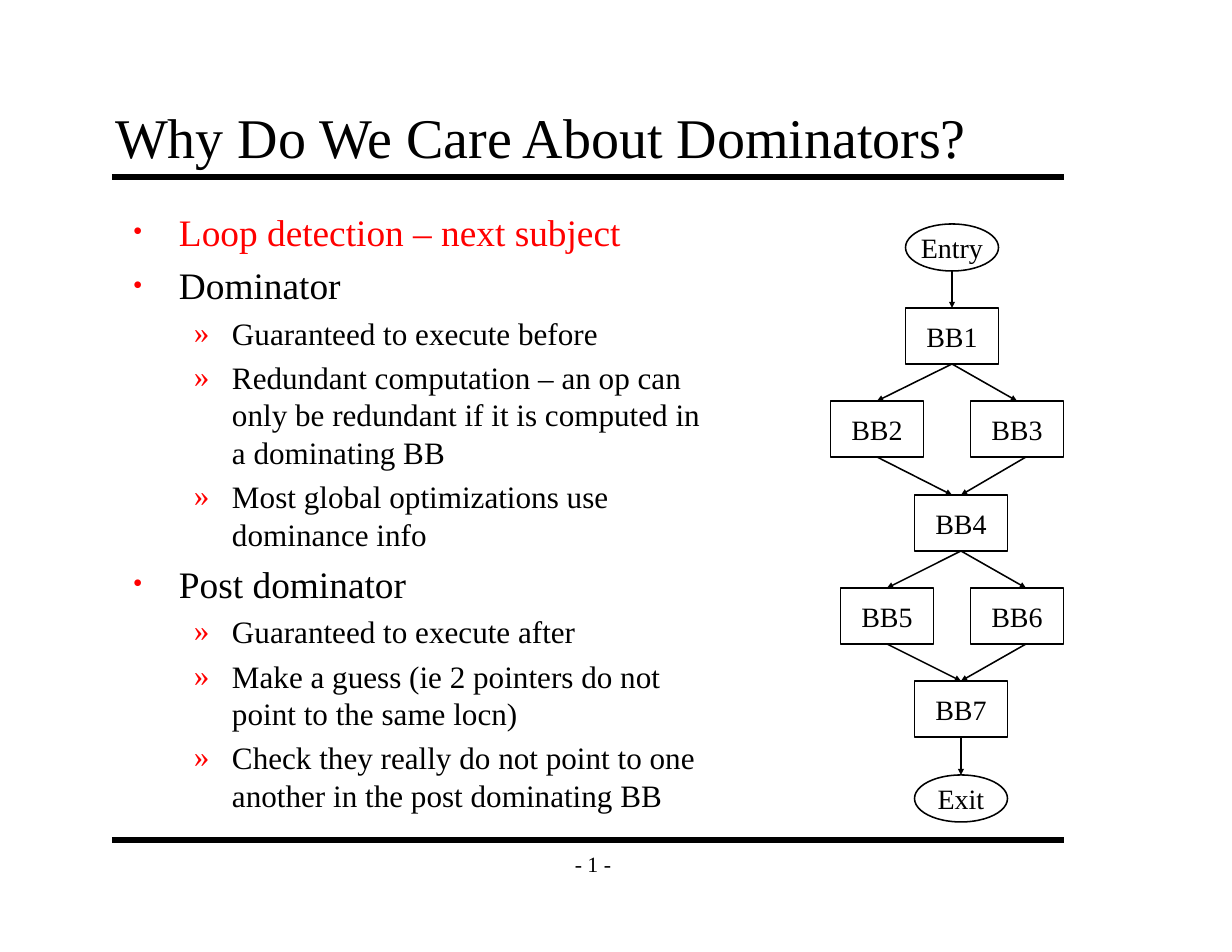
from dataclasses import dataclass

from lxml.etree import SubElement
from pptx import Presentation
from pptx.dml.color import RGBColor
from pptx.enum.shapes import MSO_CONNECTOR as Connector, MSO_SHAPE as Shape
from pptx.enum.text import MSO_ANCHOR as Anchor, PP_ALIGN as Align
from pptx.oxml.ns import qn
from pptx.util import Pt

EMU_PER_PIXEL = 914400 // 112


def px(length):
    return round(length * EMU_PER_PIXEL)


@dataclass(frozen=True)
class Theme:
    font: str = "Times New Roman"
    ink: str = "000000"
    accent: str = "FF0000"
    title: int = 36
    topic: int = 24
    detail: int = 20
    node: int = 18
    footer: int = 14
    rule: int = 4
    outline: int = 1


@dataclass(frozen=True)
class Level:
    size: int
    bullet: str
    bullet_percent: int
    margin: int
    hanging: int
    space_before: float


class Deck:
    def __init__(self, slide, theme):
        self.slide, self.theme = slide, theme

    def style(self, paragraph, size, color=None, align=Align.LEFT):
        paragraph.alignment = align
        for run in paragraph.runs:
            run.font.name = self.theme.font
            run.font.size = Pt(size)
            run.font.color.rgb = RGBColor.from_string(color or self.theme.ink)

    def frame(self, shape, anchor, wrap=True):
        frame = shape.text_frame
        frame.word_wrap = wrap
        frame.vertical_anchor = anchor
        frame.margin_left = frame.margin_right = px(12)
        frame.margin_top = frame.margin_bottom = px(7)
        return frame

    def title(self, text, *box):
        heading = self.slide.shapes.title
        heading.left, heading.top, heading.width, heading.height = map(px, box)
        frame = self.frame(heading, Anchor.BOTTOM)
        frame.text = text
        self.style(frame.paragraphs[0], self.theme.title)

    def label(self, text, *box):
        area = self.slide.shapes.add_textbox(*map(px, box))
        frame = self.frame(area, Anchor.MIDDLE, wrap=False)
        frame.text = text
        self.style(frame.paragraphs[0], self.theme.footer, align=Align.CENTER)

    def outline(self, points, levels, *box):
        area = self.slide.shapes.add_textbox(*map(px, box))
        frame = self.frame(area, Anchor.TOP)
        frame.text = "\n".join(text for _, text, _ in points)
        for paragraph, (depth, _, color) in zip(frame.paragraphs, points):
            level = levels[depth]
            paragraph.level = depth
            paragraph.space_before = Pt(level.space_before)
            self.style(paragraph, level.size, color)
            self.bullet(paragraph, level)

    def bullet(self, paragraph, level):
        props = paragraph._p.get_or_add_pPr()
        props.set("marL", str(px(level.margin)))
        props.set("indent", str(-px(level.hanging)))
        color = SubElement(props, qn("a:buClr"))
        SubElement(color, qn("a:srgbClr"), val=self.theme.accent)
        SubElement(props, qn("a:buSzPct"), val=str(level.bullet_percent * 1000))
        SubElement(props, qn("a:buFont"), typeface=self.theme.font)
        SubElement(props, qn("a:buChar"), char=level.bullet)

    def node(self, text, kind, *box):
        block = self.slide.shapes.add_shape(kind, *map(px, box))
        block.shadow.inherit = False
        block.fill.background()
        block.line.color.rgb = RGBColor.from_string(self.theme.ink)
        block.line.width = Pt(self.theme.outline)
        frame = self.frame(block, Anchor.MIDDLE, wrap=False)
        frame.text = text
        self.style(frame.paragraphs[0], self.theme.node, align=Align.CENTER)

    def line(self, start, end, width, arrow=False):
        link = self.slide.shapes.add_connector(
            Connector.STRAIGHT, *map(px, (*start, *end)))
        link.line.color.rgb = RGBColor.from_string(self.theme.ink)
        link.line.width = Pt(width)
        if arrow:
            SubElement(link.line._get_or_add_ln(), qn("a:tailEnd"),
                       type="triangle", w="sm", len="sm")
        SubElement(link._element.spPr, qn("a:effectLst"))


theme = Theme()
prs = Presentation()
prs.slide_width, prs.slide_height = px(1232), px(952)
deck = Deck(prs.slides.add_slide(prs.slide_layouts[5]), theme)

# Title, rules and page number
deck.title("Why Do We Care About Dominators?", 103, 102, 952, 75)
for rule_y in (177, 840):
    deck.line((112, rule_y), (1064, rule_y), theme.rule)
deck.label("- 1 -", 551, 840, 84, 47)

# Bulleted outline
levels = (
    Level(theme.topic, "•", 75, 46, 46, 5.5),
    Level(theme.detail, "»", 100, 99, 38, 4.5),
)
points = (
    (0, "Loop detection – next subject", theme.accent),
    (0, "Dominator", theme.ink),
    (1, "Guaranteed to execute before", theme.ink),
    (1, "Redundant computation – an op can only be redundant if it is "
        "computed in a dominating BB", theme.ink),
    (1, "Most global optimizations use dominance info", theme.ink),
    (0, "Post dominator", theme.ink),
    (1, "Guaranteed to execute after", theme.ink),
    (1, "Make a guess (ie 2 pointers do not point to the same locn)", theme.ink),
    (1, "Check they really do not point to one another in the post "
        "dominating BB", theme.ink),
)
deck.outline(points, levels, 121, 202, 597, 638)

# Flow graph blocks: centre x and row, rows a constant pitch apart
NODE_WIDTH, BLOCK_HEIGHT, OVAL_HEIGHT = 93, 56, 47
FIRST_BLOCK_TOP, ROW_PITCH = 308, 93.33
centres = {
    "Entry": (952, -1), "BB1": (952, 0), "BB2": (877, 1), "BB3": (1017, 1),
    "BB4": (961, 2), "BB5": (887, 3), "BB6": (1017, 3), "BB7": (961, 4),
    "Exit": (961, 5),
}
spans = {}
for name, (centre, row) in centres.items():
    is_block = name.startswith("BB")
    height = BLOCK_HEIGHT if is_block else OVAL_HEIGHT
    top = round(FIRST_BLOCK_TOP + row * ROW_PITCH)
    if name == "Entry":
        top += BLOCK_HEIGHT - OVAL_HEIGHT
    spans[name] = (top, top + height)
    deck.node(name, Shape.RECTANGLE if is_block else Shape.OVAL,
              centre - NODE_WIDTH / 2, top, NODE_WIDTH, height)

# Flow graph edges: source, target, sideways shift of each end
SHIFT = 9
edges = (
    ("Entry", "BB1", 0, 0), ("BB1", "BB2", 0, 0), ("BB1", "BB3", 0, 0),
    ("BB2", "BB4", 0, -SHIFT), ("BB3", "BB4", SHIFT, 0),
    ("BB4", "BB5", 0, 0), ("BB4", "BB6", 0, SHIFT),
    ("BB5", "BB7", 0, 0), ("BB6", "BB7", SHIFT, 0), ("BB7", "Exit", 0, 0),
)
for source, target, start_shift, end_shift in edges:
    deck.line((centres[source][0] + start_shift, spans[source][1]),
              (centres[target][0] + end_shift, spans[target][0]),
              theme.outline, arrow=True)

prs.save("out.pptx")
